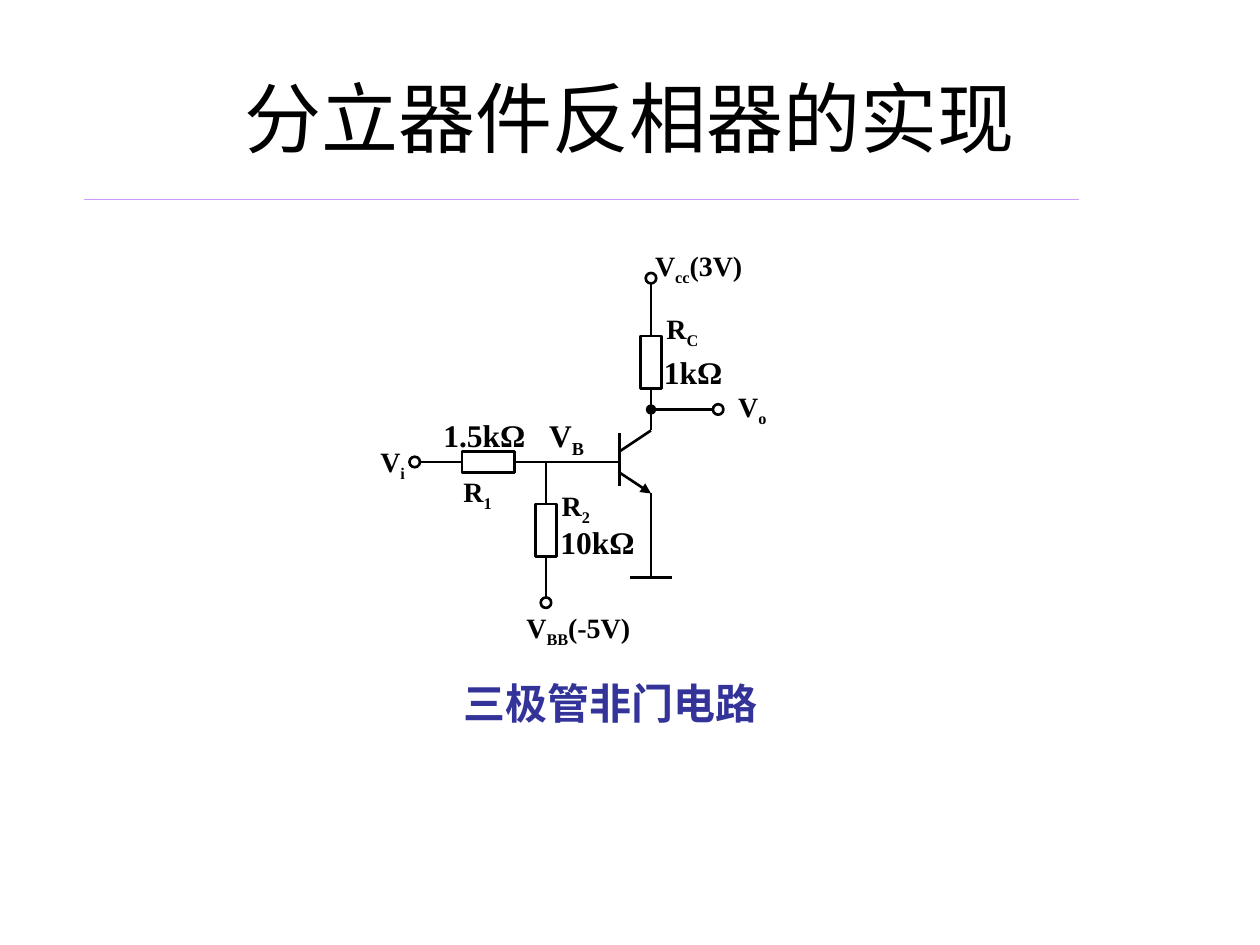
from lxml.etree import SubElement
from pptx import Presentation
from pptx.dml.color import RGBColor
from pptx.enum.shapes import MSO_CONNECTOR as Connector, MSO_SHAPE as Shape
from pptx.enum.text import MSO_ANCHOR as Anchor, MSO_AUTO_SIZE as AutoSize, PP_ALIGN as Align
from pptx.oxml.ns import qn
from pptx.util import Inches, Pt

BLACK = RGBColor(0, 0, 0)
LILAC = RGBColor(0xCC, 0x99, 0xFF)
INDIGO = RGBColor(0x33, 0x33, 0x99)
CELL = Inches(1) / 12  # grid step of the circuit

deck = Presentation()
deck.slide_width, deck.slide_height = Inches(10), Inches(7.5)
page = deck.slides.add_slide(deck.slide_layouts[6])


def add_wire(x1, y1, x2, y2, color=BLACK, width=1.5, end=None, kind=None):
    """Draw a line between two grid points, with an optional end mark."""
    points = [round(value * CELL) for value in (x1, y1, x2, y2)]
    wire = page.shapes.add_connector(Connector.STRAIGHT, *points)
    wire.line.color.rgb = color
    wire.line.width = Pt(width)
    if end:
        SubElement(wire.element.spPr.get_or_add_ln(), qn(end), type=kind)
    SubElement(wire.element.spPr, qn("a:effectLst"))


def add_label(left, top, width, height, size, runs, color=BLACK,
              font="Times New Roman", bold=True):
    """Add one line of text; each second run is a subscript."""
    box = page.shapes.add_textbox(*map(Inches, (left, top, width, height)))
    box.text_frame.word_wrap = False
    box.text_frame.auto_size = AutoSize.SHAPE_TO_FIT_TEXT
    para = box.text_frame.paragraphs[0]
    for index, words in enumerate(runs):
        span = para.add_run()
        span.text = words
        span.font.size, span.font.bold = Pt(size), bold
        span.font.name, span.font.color.rgb = font, color
        if index % 2:
            span._r.get_or_add_rPr().set("baseline", "-25000")
    return box


# Heading
add_wire(8, 19, 102.75, 19, LILAC, 1)
title = add_label(0.5, 0.3, 9, 1.25, 44, ["分立器件反相器的实现"], font="Arial", bold=False)
title.text_frame.auto_size = AutoSize.NONE
title.text_frame.word_wrap = True
title.text_frame.vertical_anchor = Anchor.MIDDLE
title.text_frame.paragraphs[0].alignment = Align.CENTER

# Wires, in grid cells
for wire in [
    (59, 41.25, 59, 46.25),  # transistor base
    (62, 41, 59, 43),        # collector
    (62, 47, 62, 55),
    (60, 55, 64, 55),        # ground
    (62, 41, 62, 37),
    (62, 32, 62, 27),
    (59, 44, 49, 44),
    (44, 44, 40, 44),
    (52, 57, 52, 53),
    (52, 48, 52, 44),
]:
    add_wire(*wire)
add_wire(59, 45, 62, 47, end="a:tailEnd", kind="triangle")  # emitter
add_wire(62, 39, 68, 39, end="a:headEnd", kind="oval")      # output

# Resistors and terminals: centre and size in grid cells
for kind, x, y, width, height in [
    (Shape.RECTANGLE, 62, 34.5, 2, 5),
    (Shape.RECTANGLE, 46.5, 44, 5, 2),
    (Shape.RECTANGLE, 52, 50.5, 2, 5),
    (Shape.OVAL, 62, 26.5, 1, 1),
    (Shape.OVAL, 68.4, 39, 1, 1),
    (Shape.OVAL, 39.5, 44, 1, 1),
    (Shape.OVAL, 52, 57.4, 1, 1),
]:
    frame = (x - width / 2, y - height / 2, width, height)
    part = page.shapes.add_shape(kind, *(round(value * CELL) for value in frame))
    part.shadow.inherit = False
    part.fill.background()
    part.line.color.rgb = BLACK
    part.line.width = Pt(1.5)

# Labels
for left, top, width, size, runs in [
    (5.19, 2.42, 0.47, 16, ["R", "C"]),
    (3.58, 3.72, 0.44, 16, ["R", "1"]),
    (4.36, 3.83, 0.44, 16, ["R", "2"]),
    (2.92, 3.48, 0.40, 16, ["V", "i"]),
    (5.76, 3.04, 0.44, 16, ["V", "o"]),
    (5.10, 1.92, 0.92, 16, ["V", "cc", "(3V)"]),
    (4.08, 4.80, 1.06, 16, ["V", "BB", "(-5V)"]),
    (4.26, 3.25, 0.49, 18, ["V", "B"]),
    (3.42, 3.25, 0.90, 18, ["1.5kΩ"]),
    (4.35, 4.10, 0.84, 18, ["10kΩ"]),
    (5.17, 2.75, 0.72, 18, ["1kΩ"]),
]:
    add_label(left, top, width, 0.37 if size == 16 else 0.4, size, runs)
add_label(3.58, 5.33, 2.53, 0.5, 24, ["三极管非门电路"], INDIGO)

deck.save("out.pptx")
